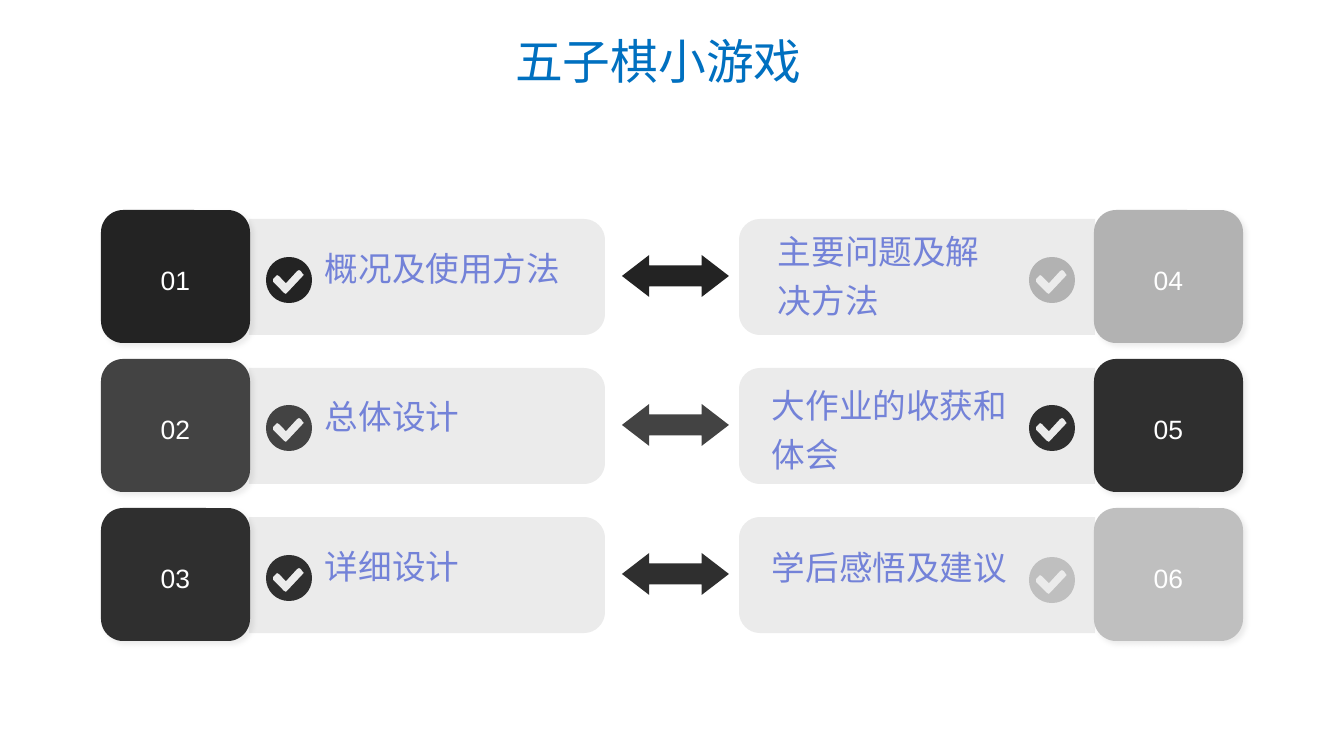
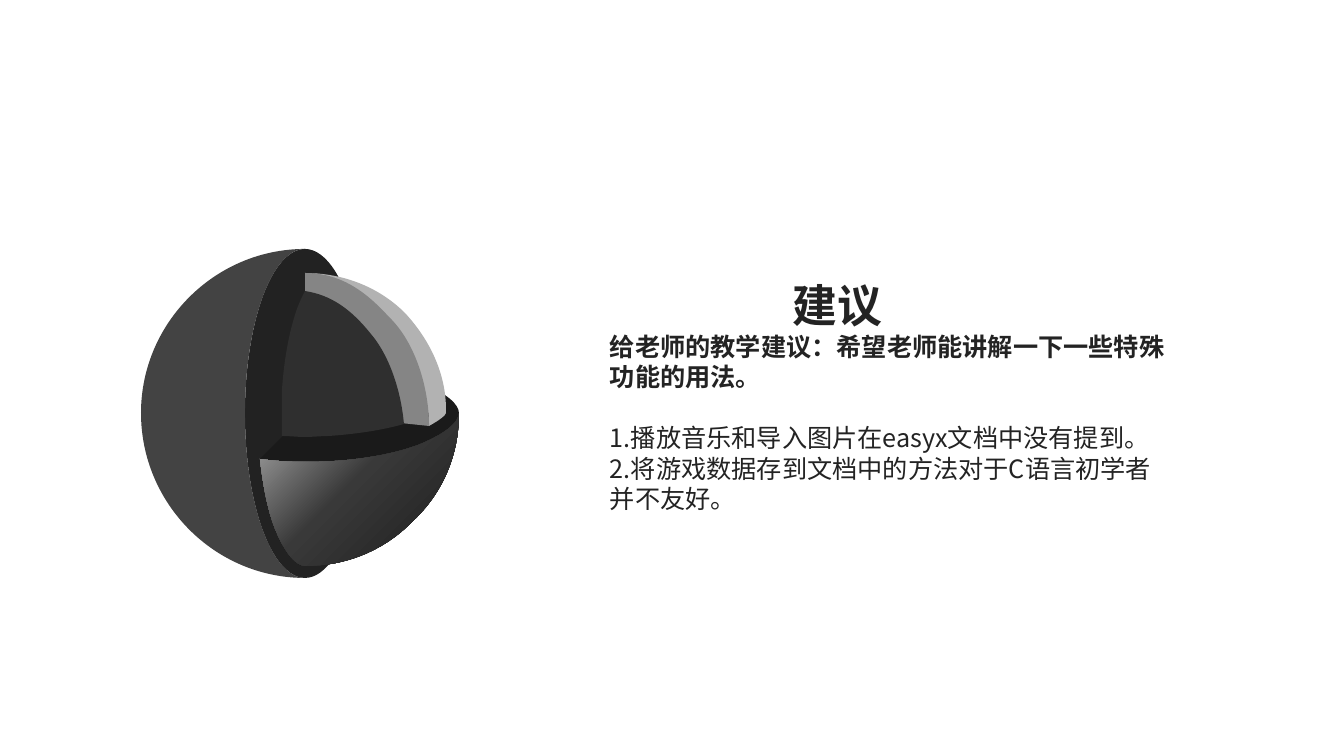
import lxml.etree
import pptx
import pptx.dml.color
import pptx.enum.shapes
import pptx.enum.text
import pptx.oxml
import pptx.oxml.ns
import pptx.util

EMU_PER_PX = 914400 / 100.8
ARIAL = "Arial"
NOTO = "Noto Sans CJK SC"
COLORS = {
    "title": "0070C0",
    "label_start": "7382D8",
    "label_end": "D6A0FE",
    "panel": "E9E9E9",
    "white": "FFFFFF",
    "ink": "232323",
    "slate": "434343",
    "charcoal": "2F2F2F",
    "silver": "B2B2B2",
    "pale": "BFBFBF",
    "rim": "222222",
    "floor": "1A1A1A",
    "mantle": "858585",
    "bowl_light": "ACACAC",
    "bowl_middle": "393939",
    "bowl_dark": "1C1C1C",
}
SHAPES = pptx.enum.shapes.MSO_SHAPE
ALIGN = pptx.enum.text.PP_ALIGN
ANCHOR = pptx.enum.text.MSO_ANCHOR
ROW_PITCH = 149
TILE_SIZE = (149, 133)
PANEL_SIZE = (356, 116)
PANEL_RADIUS = 21
ICON_CIRCLE = [
    (23, 46), (10, 46, 0, 36, 0, 23), (0, 10, 10, 0, 23, 0),
    (36, 0, 46, 10, 46, 23), (46, 36, 36, 46, 23, 46),
]
CHECK_MARK = [
    (37, 17), (35, 14), (33, 13), (31, 14), (20, 26), (13, 19), (11, 18),
    (7, 22), (7, 25), (18, 36), (20, 37), (21, 36), (37, 19), (38, 18),
]
LEFT_ITEMS = [
    ("01", "概况及使用方法", "ink", 257, (325, 240, 247, 47)),
    ("02", "总体设计", "slate", 405, (325, 388, 247, 48)),
    ("03", "详细设计", "charcoal", 555, (325, 538, 247, 48)),
]
RIGHT_ITEMS = [
    ("04", "主要问题及解决方法", "silver", 257, (778, 223, 232, 98)),
    ("05", "大作业的收获和体会", "charcoal", 405, (772, 377, 247, 89)),
    ("06", "学后感悟及建议", "pale", 557, (772, 539, 247, 76)),
]
SPHERE_PARTS = [
    ("slate", [
        (104, 164), (104, 74, 131, 0, 164, 0), (74, 0, 0, 74, 0, 164),
        (0, 255, 74, 329, 164, 329), (131, 329, 104, 255, 104, 164)]),
    ("floor", [
        (277, 133), (258, 126, 235, 122, 210, 119), (119, 210),
        (133, 212, 148, 213, 164, 213), (207, 213, 247, 207, 277, 196),
        (307, 184, 318, 172, 318, 164), (318, 156, 307, 144, 277, 133)]),
    ("bowl", [
        (318, 164), (318, 172, 307, 184, 277, 196),
        (247, 207, 207, 213, 164, 213), (148, 213, 133, 212, 119, 210),
        (122, 235, 126, 258, 133, 277), (144, 306, 156, 317, 164, 317),
        (206, 317, 244, 301, 272, 272), (302, 244, 318, 206, 318, 164)]),
    ("silver", [
        (248, 70), (271, 100, 288, 140, 288, 177),
        (299, 171, 305, 166, 305, 164), (306, 127, 290, 92, 264, 64),
        (238, 38, 202, 24, 164, 24), (202, 24, 241, 60, 248, 70)]),
    ("mantle", [
        (164, 24), (164, 164), (288, 177), (288, 140, 275, 94, 248, 68),
        (227, 45, 202, 24, 164, 24)]),
    ("charcoal", [
        (263, 175), (260, 141, 248, 106, 230, 85),
        (210, 60, 190, 46, 164, 42), (162, 46, 159, 52, 156, 60),
        (148, 83, 143, 111, 141, 141), (141, 187),
        (149, 187, 156, 188, 164, 188), (172, 188, 180, 187, 188, 187),
        (216, 185, 242, 181, 263, 175)]),
]


def px(length):
    return pptx.util.Emu(round(length * EMU_PER_PX))


def rgb(name):
    return pptx.dml.color.RGBColor.from_string(COLORS[name])


def child(parent, tag, **attributes):
    values = {key: str(value) for key, value in attributes.items()}
    return lxml.etree.SubElement(parent, pptx.oxml.ns.qn(tag), values)


def paint(shape, color):
    shape.shadow.inherit = False
    shape.fill.solid()
    shape.fill.fore_color.rgb = rgb(color)
    shape.line.fill.background()


def add_preset(slide, kind, left, top, width, height, color):
    shape = slide.shapes.add_shape(kind, px(left), px(top), px(width), px(height))
    paint(shape, color)
    return shape


def pairs(segment):
    return list(zip(segment[::2], segment[1::2]))


def bend_curves(shape, contours):
    lines = iter(list(shape._element.iter(pptx.oxml.ns.qn("a:lnTo"))))
    for contour in contours:
        for segment in contour[1:]:
            group = [next(lines) for _ in pairs(segment)]
            if len(group) == 1:
                continue
            curve = lxml.etree.Element(pptx.oxml.ns.qn("a:cubicBezTo"))
            group[0].addprevious(curve)
            for line in group:
                curve.append(line[0])
                line.getparent().remove(line)


def add_outline(slide, left, top, contours, color):
    builder = None
    for contour in contours:
        points = [(px(left + x), px(top + y))
                  for segment in contour for x, y in pairs(segment)]
        if builder is None:
            builder = slide.shapes.build_freeform(*points[0], scale=1.0)
        else:
            builder.move_to(*points[0])
        builder.add_line_segments(points[1:], close=True)
    shape = builder.convert_to_shape()
    bend_curves(shape, contours)
    paint(shape, color)
    return shape


def clear_frame(shape, anchor=ANCHOR.TOP):
    frame = shape.text_frame
    frame.word_wrap = True
    frame.vertical_anchor = anchor
    frame.margin_left = frame.margin_right = 0
    frame.margin_top = frame.margin_bottom = 0
    return frame


def add_text_box(slide, left, top, width, height, anchor=ANCHOR.TOP):
    box = slide.shapes.add_textbox(px(left), px(top), px(width), px(height))
    return clear_frame(box, anchor)


def add_run(paragraph, text, size, font=ARIAL, color=None, bold=False):
    run = paragraph.add_run()
    run.text = text
    run.font.size = pptx.util.Pt(size)
    run.font.bold = bold
    if color:
        run.font.color.rgb = rgb(color)
    run.font.name = font
    return run


def add_panel(slide, left, top, rounded_right):
    width, height = PANEL_SIZE
    radius = PANEL_RADIUS
    pull = radius * 0.45
    outline = [
        (0, 0), (width - radius, 0),
        (width - pull, 0, width, pull, width, radius),
        (width, height - radius),
        (width, height - pull, width - pull, height, width - radius, height),
        (0, height)]
    if not rounded_right:
        outline = [
            tuple(value for x, y in pairs(segment) for value in (width - x, y))
            for segment in outline]
    panel = add_outline(slide, left, top, [outline], "panel")
    color = panel._element.spPr.find(".//" + pptx.oxml.ns.qn("a:srgbClr"))
    child(color, "a:alpha", val=90000)


def add_number_tile(slide, left, top, number, color):
    tile = add_preset(slide, SHAPES.ROUNDED_RECTANGLE, left, top, *TILE_SIZE, color)
    effects = tile._element.spPr.find(pptx.oxml.ns.qn("a:effectLst"))
    shadow = child(effects, "a:outerShdw", blurRad=pptx.util.Pt(4),
                   dist=pptx.util.Pt(3), dir=45 * 60000, algn="tl", rotWithShape=0)
    child(child(shadow, "a:srgbClr", val="000000"), "a:alpha", val=8000)
    paragraph = clear_frame(tile, ANCHOR.MIDDLE).paragraphs[0]
    paragraph.alignment = ALIGN.CENTER
    paragraph.line_spacing = 1.2
    add_run(paragraph, number, 18.9, color="white")


def add_label(slide, box, text):
    paragraph = add_text_box(slide, *box).paragraphs[0]
    paragraph.line_spacing = 1.2
    fill = add_run(paragraph, text, 24).font.fill
    fill.gradient()
    fill.gradient_angle = 315
    for stop, color in zip(fill.gradient_stops, ("label_start", "label_end")):
        stop.color.rgb = rgb(color)


def add_item(slide, top, item, tile_left, panel_left, icon_left, rounded_right):
    number, text, color, icon_top, label_box = item
    add_panel(slide, panel_left, top + 9, rounded_right)
    add_outline(slide, icon_left, icon_top, [ICON_CIRCLE, CHECK_MARK], color)
    add_label(slide, label_box, text)
    add_number_tile(slide, tile_left, top, number, color)


def build_contents_slide(presentation):
    slide = presentation.slides.add_slide(presentation.slide_layouts[6])
    title = add_text_box(slide, 470, 32, 377, 57, ANCHOR.MIDDLE).paragraphs[0]
    title.alignment = ALIGN.CENTER
    add_run(title, "五子棋小游戏", 34.1, color="title")
    for row, (left_item, right_item) in enumerate(zip(LEFT_ITEMS, RIGHT_ITEMS)):
        top = 210 + row * ROW_PITCH
        add_item(slide, top, left_item, 101, 249, 266, True)
        add_item(slide, top, right_item, 1094, 739, 1029, False)
        arrow = add_preset(slide, SHAPES.LEFT_RIGHT_ARROW, 622, top + 45, 107, 42, left_item[2])
        arrow.adjustments[0] = 0.5
        arrow.adjustments[1] = 0.65


def paint_bowl(shape):
    properties = shape._element.spPr
    solid = properties.find(pptx.oxml.ns.qn("a:solidFill"))
    gradient = pptx.oxml.parse_xml(
        f'<a:gradFill {pptx.oxml.ns.nsdecls("a")} rotWithShape="1"/>')
    stops = child(gradient, "a:gsLst")
    for position, color in ((0, "bowl_light"), (46, "bowl_middle"), (100, "bowl_dark")):
        stop = child(stops, "a:gs", pos=position * 1000)
        child(stop, "a:srgbClr", val=COLORS[color])
    circle = child(gradient, "a:path", path="circle")
    child(circle, "a:fillToRect", r=100000, b=100000)
    properties.replace(solid, gradient)


def add_sphere(slide, left, top):
    add_preset(slide, SHAPES.OVAL, left + 104, top, 120, 329, "rim")
    for color, outline in SPHERE_PARTS:
        is_bowl = color == "bowl"
        part = add_outline(slide, left, top, [outline], "bowl_middle" if is_bowl else color)
        if is_bowl:
            paint_bowl(part)


def add_advice(slide, left, top, width, height):
    frame = add_text_box(slide, left, top, width, height)
    frame.margin_left = frame.margin_right = px(10)
    frame.margin_top = frame.margin_bottom = px(5)
    lines = [
        ("建议", 32, True, 38, 0),
        ("给老师的教学建议：希望老师能讲解一下一些特殊功能的用法。", 18, True, 21.7, 0),
        ("1.播放音乐和导入图片在easyx文档中没有提到。", 18, False, 21.7, 21.7),
        ("2.将游戏数据存到文档中的方法对于C语言初学者并不友好。", 18, False, 21.7, 0),
    ]
    for index, (text, size, bold, spacing, before) in enumerate(lines):
        paragraph = frame.add_paragraph() if index else frame.paragraphs[0]
        paragraph.line_spacing = pptx.util.Pt(spacing)
        if before:
            paragraph.space_before = pptx.util.Pt(before)
        run = add_run(paragraph, text, size, NOTO, "ink", bold)
        child(run.font._element, "a:ea", typeface=NOTO)
    heading = frame.paragraphs[0]._p.get_or_add_pPr()
    heading.set("marL", str(px(183)))
    heading.set("indent", "0")


def build_advice_slide(presentation):
    slide = presentation.slides.add_slide(presentation.slide_layouts[6])
    add_sphere(slide, 141, 249)
    add_advice(slide, 600, 273, 585, 293)


def main():
    presentation = pptx.Presentation()
    presentation.slide_width = px(1344)
    presentation.slide_height = px(756)
    build_contents_slide(presentation)
    build_advice_slide(presentation)
    presentation.save("out.pptx")


if __name__ == "__main__":
    main()
